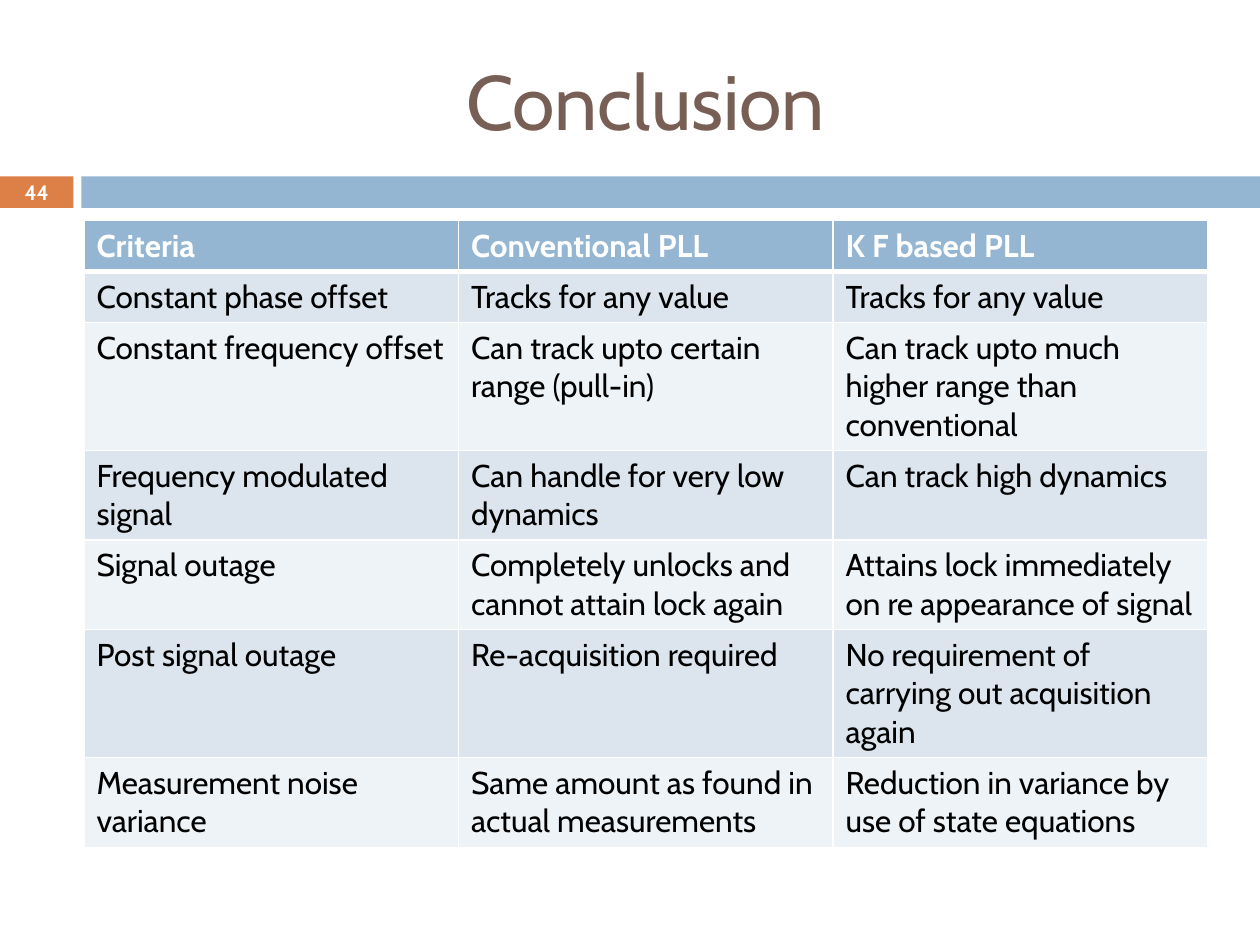
from dataclasses import dataclass

from lxml import etree
from pptx import Presentation
from pptx.dml.color import RGBColor
from pptx.enum.shapes import MSO_SHAPE
from pptx.enum.text import MSO_ANCHOR, MSO_AUTO_SIZE, PP_ALIGN
from pptx.oxml.ns import qn
from pptx.util import Pt

RECTANGLE = MSO_SHAPE.RECTANGLE
MIDDLE = MSO_ANCHOR.MIDDLE
NO_AUTOFIT = MSO_AUTO_SIZE.NONE
CENTER = PP_ALIGN.CENTER
LEFT = PP_ALIGN.LEFT

TITLE_ONLY = 5
FONT = "Cabin"
WHITE = "FFFFFF"
BLACK = "000000"
BLUE = "94B6D2"
ORANGE = "DD8047"
BROWN = "775F55"
ROW_FILLS = ("DCE5EE", "EEF3F7")


@dataclass(frozen=True)
class Box:
    left: float
    top: float
    width: float
    height: float

    def lengths(self) -> tuple:
        return Pt(self.left), Pt(self.top), Pt(self.width), Pt(self.height)


@dataclass(frozen=True)
class Band:
    box: Box
    color: str


@dataclass(frozen=True)
class TextStyle:
    size: float
    color: str
    bold: bool = False
    align: PP_ALIGN = LEFT


BANDS = (
    Band(Box(0, 100.8, 42, 18), ORANGE),
    Band(Box(46.5, 100.8, 673.5, 18), BLUE),
)
TITLE_BOX = Box(48, 18, 642, 78)
NUMBER_BOX = Box(0, 100, 42, 19.5)
TABLE_BOX = Box(48, 126, 642, 204.4)

TITLE_STYLE = TextStyle(44, BROWN, align=CENTER)
NUMBER_STYLE = TextStyle(11.9, WHITE, bold=True, align=CENTER)
HEADER_STYLE = TextStyle(18, WHITE, bold=True)
BODY_STYLE = TextStyle(18, BLACK)

ROWS = (
    ("Criteria", "Conventional PLL", "K F based PLL"),
    ("Constant phase offset", "Tracks for any value", "Tracks for any value"),
    ("Constant frequency offset", "Can track upto certain range (pull-in)",
     "Can track upto much higher range than conventional"),
    ("Frequency modulated signal", "Can handle for very low dynamics",
     "Can track high dynamics"),
    ("Signal outage", "Completely unlocks and cannot attain lock again",
     "Attains lock immediately on re appearance of signal"),
    ("Post signal outage", "Re-acquisition required",
     "No requirement of carrying out acquisition again"),
    ("Measurement noise variance", "Same amount as found in actual measurements",
     "Reduction in variance by use of state equations"),
)


def rgb(color: str) -> RGBColor:
    return RGBColor.from_string(color)


def write_text(text_frame, text: str, style: TextStyle) -> None:
    paragraph = text_frame.paragraphs[0]
    paragraph.alignment = style.align
    run = paragraph.add_run()
    run.text = text
    formats = {"name": FONT, "size": Pt(style.size), "bold": style.bold}
    for attribute, value in formats.items():
        setattr(run.font, attribute, value)
    run.font.color.rgb = rgb(style.color)


def format_frame(text_frame, margin: float) -> None:
    formats = {
        "word_wrap": True,
        "auto_size": NO_AUTOFIT,
        "vertical_anchor": MIDDLE,
        "margin_left": Pt(margin),
        "margin_right": Pt(margin),
        "margin_top": Pt(0),
        "margin_bottom": Pt(0),
    }
    for attribute, value in formats.items():
        setattr(text_frame, attribute, value)


def add_band(slide, band: Band) -> None:
    shape = slide.shapes.add_shape(RECTANGLE, *band.box.lengths())
    shape.shadow.inherit = False
    shape.fill.solid()
    shape.fill.fore_color.rgb = rgb(band.color)
    shape.line.fill.background()


def add_title(slide, text: str) -> None:
    title = slide.shapes.title
    title.left, title.top, title.width, title.height = TITLE_BOX.lengths()
    format_frame(title.text_frame, 7.2)
    write_text(title.text_frame, text, TITLE_STYLE)


def add_number(slide, text: str) -> None:
    text_box = slide.shapes.add_textbox(*NUMBER_BOX.lengths())
    format_frame(text_box.text_frame, 0)
    write_text(text_box.text_frame, text, NUMBER_STYLE)


def set_borders(cell, widths: dict) -> None:
    properties = cell._tc.get_or_add_tcPr()
    for side, width in widths.items():
        line = etree.SubElement(properties, qn(f"a:ln{side}"), w=str(Pt(width)))
        fill = etree.SubElement(line, qn("a:solidFill"))
        etree.SubElement(fill, qn("a:srgbClr"), val=WHITE)


def add_comparison_table(slide) -> None:
    frame = slide.shapes.add_table(len(ROWS), len(ROWS[0]), *TABLE_BOX.lengths())
    table = frame.table
    for row_index, texts in enumerate(ROWS):
        is_header = row_index == 0
        style = HEADER_STYLE if is_header else BODY_STYLE
        color = BLUE if is_header else ROW_FILLS[(row_index - 1) % 2]
        widths = {
            "L": 1,
            "R": 1,
            "T": 3 if row_index == 1 else 1,
            "B": 3 if is_header else 1,
        }
        for column_index, text in enumerate(texts):
            cell = table.cell(row_index, column_index)
            set_borders(cell, widths)
            cell.fill.solid()
            cell.fill.fore_color.rgb = rgb(color)
            write_text(cell.text_frame, text, style)


def main() -> None:
    presentation = Presentation()
    presentation.slide_width = Pt(720)
    presentation.slide_height = Pt(540)
    slide = presentation.slides.add_slide(presentation.slide_layouts[TITLE_ONLY])
    for band in BANDS:
        add_band(slide, band)
    add_title(slide, "Conclusion")
    add_number(slide, "44")
    add_comparison_table(slide)
    presentation.save("out.pptx")


if __name__ == "__main__":
    main()
